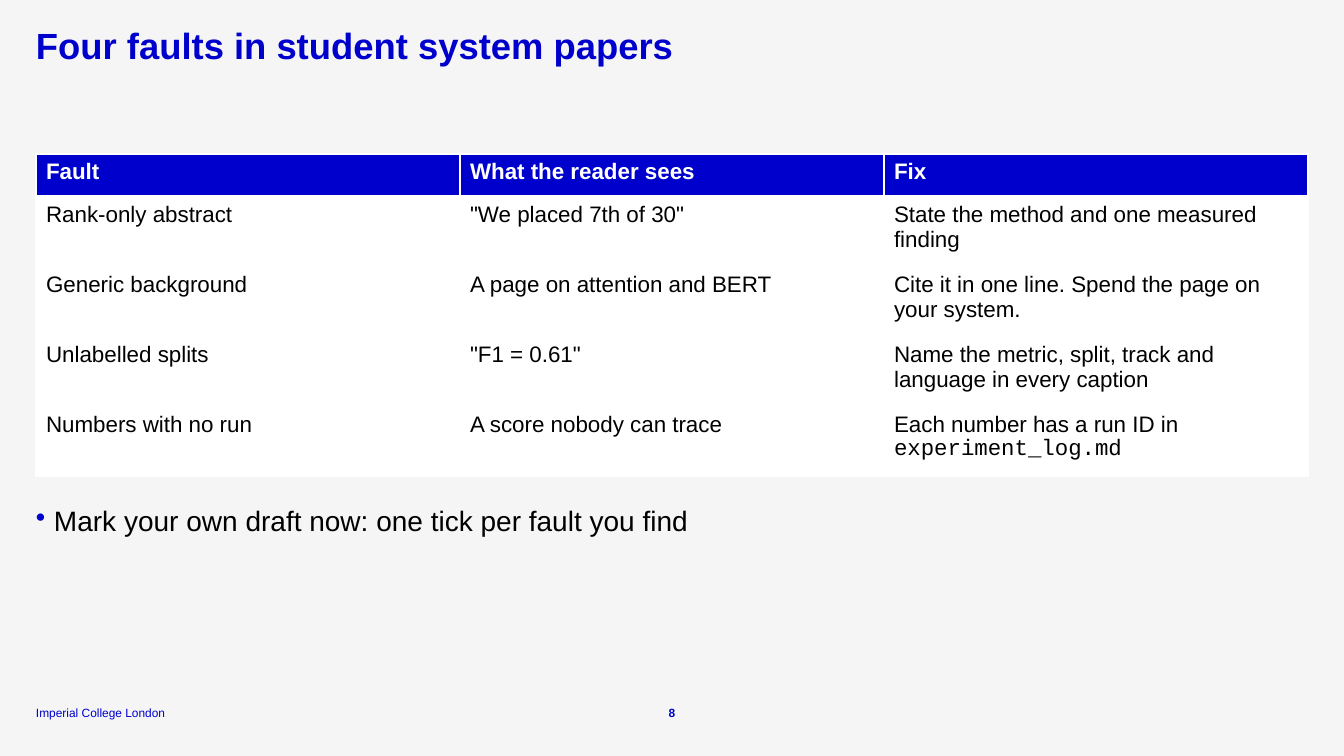
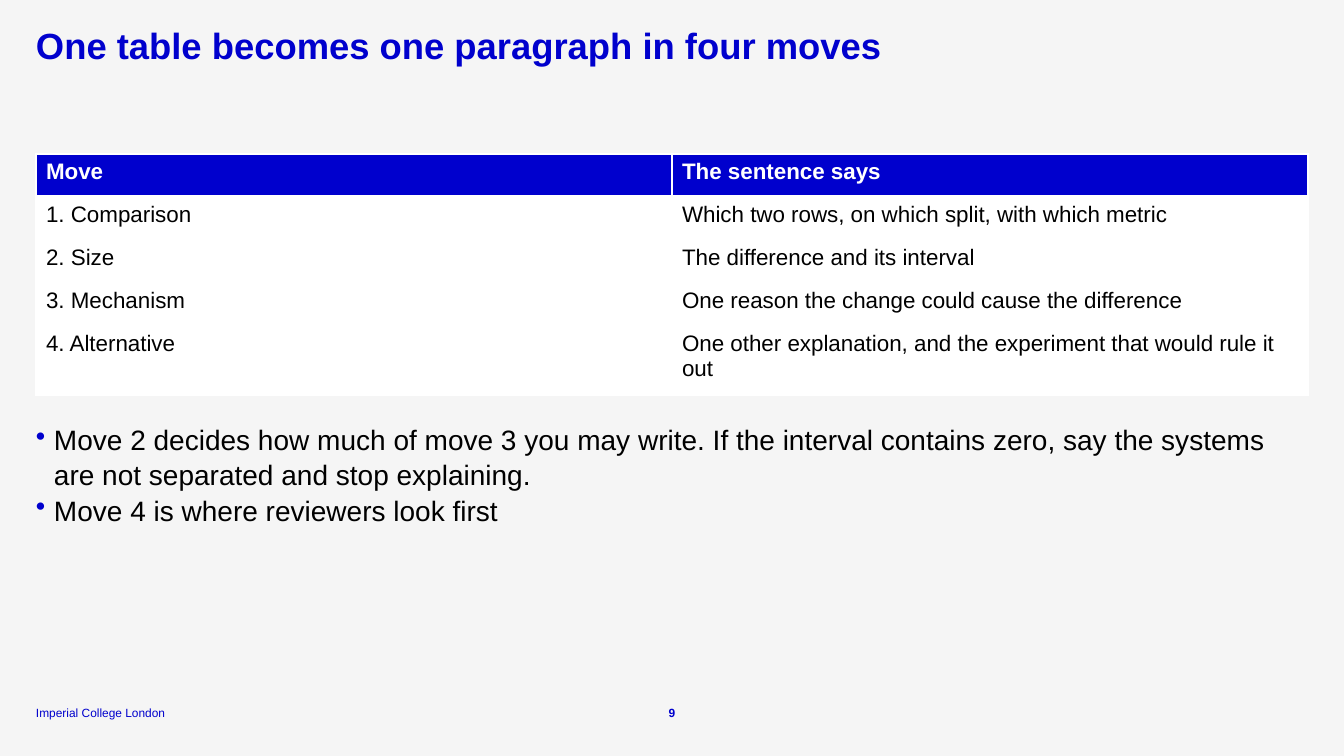
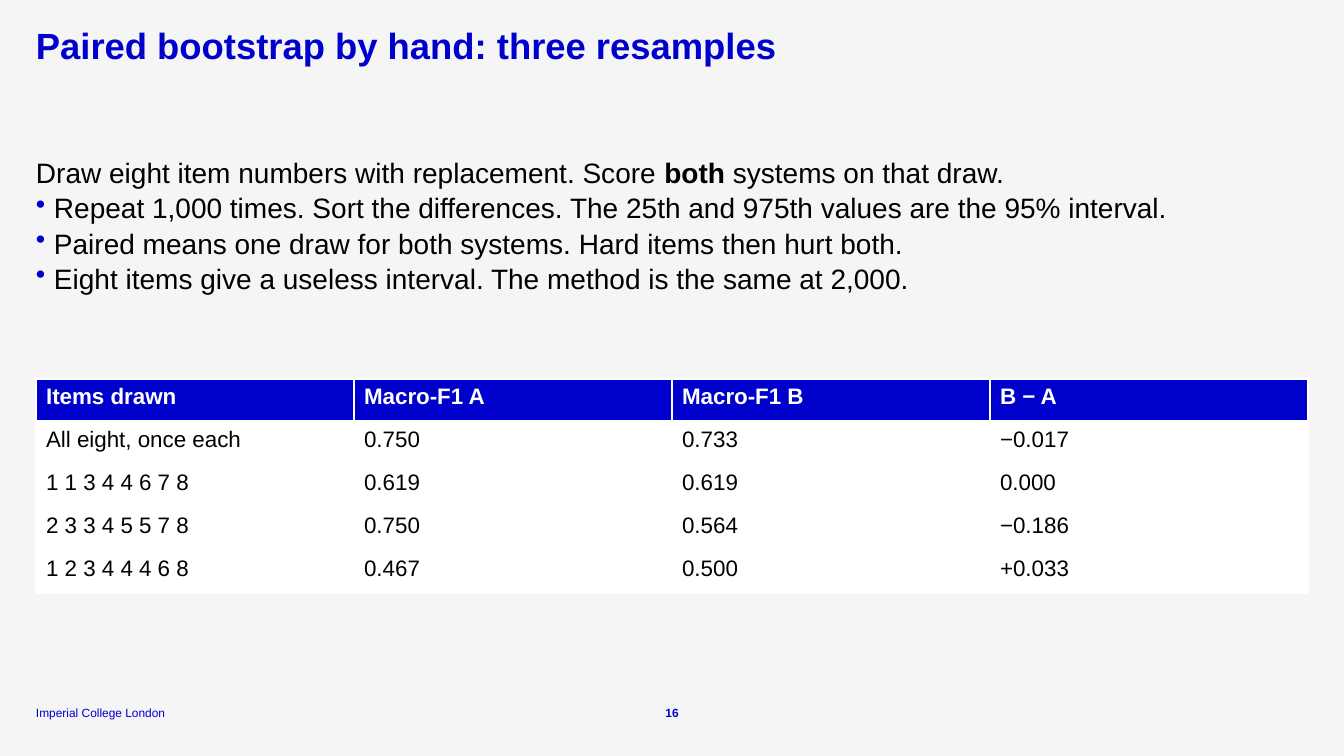
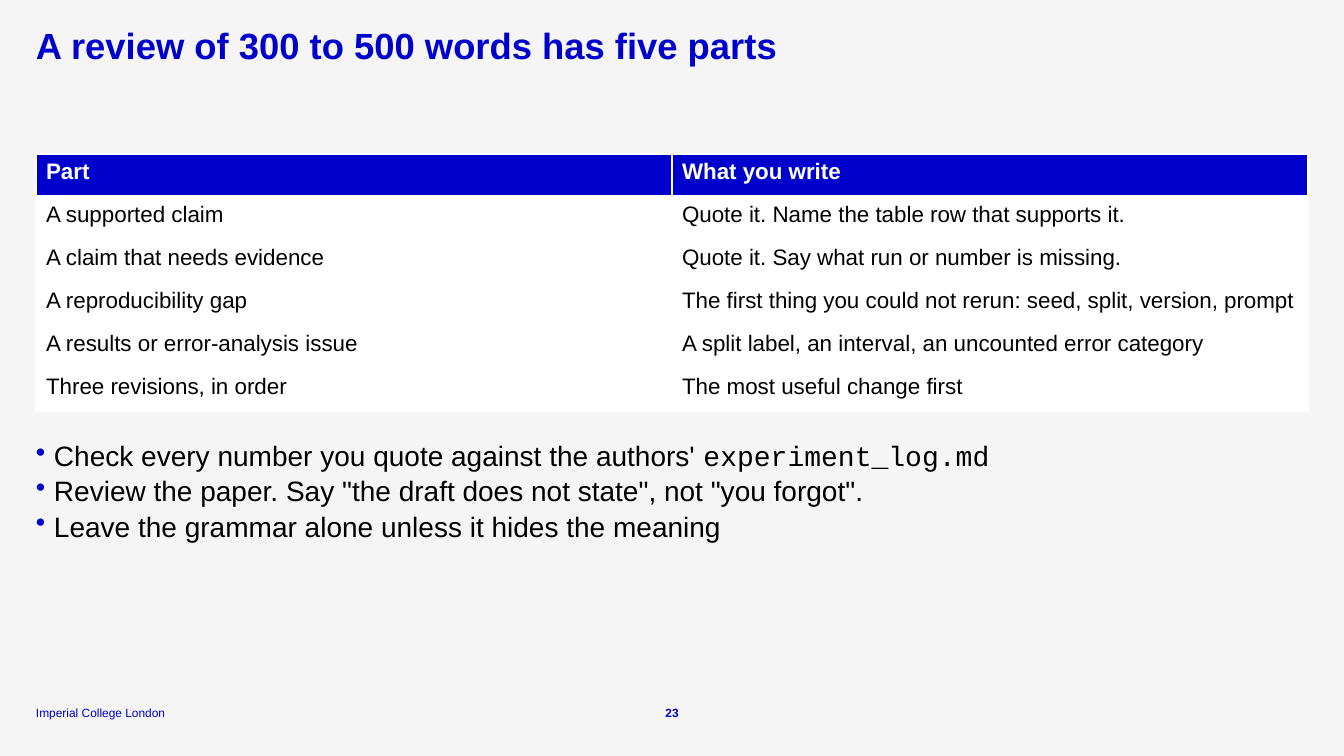
from lxml.etree import SubElement
from pptx import Presentation
from pptx.dml.color import RGBColor
from pptx.enum.text import MSO_ANCHOR as Anchor, MSO_AUTO_SIZE as AutoSize, PP_ALIGN as Align
from pptx.oxml.ns import qn
from pptx.util import Emu, Pt

WIDTH, HEIGHT = 1344, 756
SCALE = 12192000 / WIDTH
MARGIN, CONTENT_WIDTH = 36, 1272
CONTENT_TOP, GAP = 154, 25
FOOTER_TOP, FOOTER_HEIGHT = 705, 15
ROW, TALL_ROW = 43, 70
INDENT = 18

COLORS = {"paper": "F5F5F5", "blue": "0000CD", "ink": "000000", "white": "FFFFFF"}
FORMATS = {
    "title": {"size": Pt(26), "bold": True, "color": "blue"},
    "body": {"size": Pt(20), "bold": False, "color": "ink"},
    "header": {"size": Pt(16), "bold": True, "color": "white"},
    "cell": {"size": Pt(16), "bold": False, "color": "ink"},
    "footer": {"size": Pt(8.5), "bold": False, "color": "blue"},
    "number": {"size": Pt(8.5), "bold": True, "color": "blue"},
}
LOG_FILE = ("experiment_log.md", {"name": "Courier New"})


def px(length):
    return Emu(round(length * SCALE))


def rgb(color):
    return RGBColor.from_string(COLORS[color])


class Deck:
    def __init__(self):
        self.prs = Presentation()
        self.prs.slide_width, self.prs.slide_height = px(WIDTH), px(HEIGHT)
        background = self.prs.slide_master.background.fill
        background.solid()
        background.fore_color.rgb = rgb("paper")
        self.slide = None

    def add_runs(self, paragraph, content, style):
        parts = [content] if isinstance(content, str) else content
        for part in parts:
            text, changes = (part, {}) if isinstance(part, str) else part
            run = paragraph.add_run()
            run.text = text
            values = {"name": "Arial", **FORMATS[style], **changes}
            run.font.color.rgb = rgb(values.pop("color"))
            for key, value in values.items():
                setattr(run.font, key, value)

    def frame(self, shape, anchor):
        values = {
            "margin_left": 0, "margin_top": 0, "margin_right": 0, "margin_bottom": 0,
            "word_wrap": True, "auto_size": AutoSize.NONE, "vertical_anchor": anchor,
        }
        for key, value in values.items():
            setattr(shape.text_frame, key, value)
        return shape.text_frame

    def box(self, left, top, width, height, anchor=Anchor.TOP):
        area = self.slide.shapes.add_textbox(px(left), px(top), px(width), px(height))
        return self.frame(area, anchor)

    def start(self, heading, number):
        self.slide = self.prs.slides.add_slide(self.prs.slide_layouts[5])
        title = self.slide.shapes.title
        title.left, title.top = px(MARGIN), px(28)
        title.width, title.height = px(CONTENT_WIDTH), px(41)
        paragraph = self.frame(title, Anchor.TOP).paragraphs[0]
        paragraph.alignment, paragraph.line_spacing = Align.LEFT, 0.9
        self.add_runs(paragraph, heading, "title")
        self.footer("Imperial College London", "footer", MARGIN, 156, Align.LEFT)
        self.footer(str(number), "number", (WIDTH - 36) // 2, 36, Align.CENTER)

    def footer(self, text, style, left, width, alignment):
        paragraph = self.box(left, FOOTER_TOP, width, FOOTER_HEIGHT, Anchor.BOTTOM).paragraphs[0]
        paragraph.alignment = alignment
        self.add_runs(paragraph, text, style)

    def bullet(self, paragraph):
        properties = paragraph._p.get_or_add_pPr()
        properties.set("marL", str(px(INDENT)))
        properties.set("indent", str(px(-INDENT)))
        color = SubElement(properties, qn("a:buClr"))
        SubElement(color, qn("a:srgbClr"), val=COLORS["blue"])
        SubElement(properties, qn("a:buChar"), char="•")

    def body(self, top, height, points, lead=None):
        frame = self.box(MARGIN, top, CONTENT_WIDTH, height)
        contents = ([lead] if lead else []) + points
        for index, content in enumerate(contents):
            paragraph = frame.add_paragraph() if index else frame.paragraphs[0]
            if content is not lead:
                self.bullet(paragraph)
            paragraph.line_spacing = 1.05
            self.add_runs(paragraph, content, "body")
        return top + height + GAP

    def borders(self, cell):
        properties = cell._tc.get_or_add_tcPr()
        for side, points in (("L", 1), ("R", 1), ("T", 1), ("B", 3)):
            line = SubElement(properties, qn(f"a:ln{side}"), w=str(Pt(points)))
            fill = SubElement(line, qn("a:solidFill"))
            SubElement(fill, qn("a:srgbClr"), val=COLORS["white"])

    def table(self, top, rows, tall=()):
        heights = [TALL_ROW if index in tall else ROW for index in range(len(rows))]
        columns = len(rows[0])
        grid = self.slide.shapes.add_table(
            len(rows), columns, px(MARGIN), px(top), px(CONTENT_WIDTH), px(sum(heights))
        ).table
        grid.horz_banding = False
        for column in grid.columns:
            column.width = px(CONTENT_WIDTH // columns)
        for index, contents in enumerate(rows):
            grid.rows[index].height = px(heights[index])
            for cell, content in zip(grid.rows[index].cells, contents):
                if index == 0:
                    self.borders(cell)
                cell.fill.solid()
                cell.fill.fore_color.rgb = rgb("white" if index else "blue")
                self.add_runs(cell.text_frame.paragraphs[0], content, "cell" if index else "header")
        return top + sum(heights) + GAP


def main():
    deck = Deck()

    deck.start("Four faults in student system papers", 8)
    below = deck.table(CONTENT_TOP, [
        ("Fault", "What the reader sees", "Fix"),
        ("Rank-only abstract", '"We placed 7th of 30"', "State the method and one measured finding"),
        ("Generic background", "A page on attention and BERT",
         "Cite it in one line. Spend the page on your system."),
        ("Unlabelled splits", '"F1 = 0.61"',
         "Name the metric, split, track and language in every caption"),
        ("Numbers with no run", "A score nobody can trace", ["Each number has a run ID in ", LOG_FILE]),
    ], tall=(1, 2, 3, 4))
    deck.body(below, 49, ["Mark your own draft now: one tick per fault you find"])

    deck.start("One table becomes one paragraph in four moves", 9)
    below = deck.table(CONTENT_TOP, [
        ("Move", "The sentence says"),
        ("1. Comparison", "Which two rows, on which split, with which metric"),
        ("2. Size", "The difference and its interval"),
        ("3. Mechanism", "One reason the change could cause the difference"),
        ("4. Alternative", "One other explanation, and the experiment that would rule it out"),
    ], tall=(4,))
    deck.body(below, 136, [
        "Move 2 decides how much of move 3 you may write. If the interval contains zero, "
        "say the systems are not separated and stop explaining.",
        "Move 4 is where reviewers look first",
    ])

    deck.start("Paired bootstrap by hand: three resamples", 16)
    below = deck.body(CONTENT_TOP, 200, [
        "Repeat 1,000 times. Sort the differences. The 25th and 975th values are the 95% interval.",
        "Paired means one draw for both systems. Hard items then hurt both.",
        "Eight items give a useless interval. The method is the same at 2,000.",
    ], lead=["Draw eight item numbers with replacement. Score ", ("both", {"bold": True}),
             " systems on that draw."])
    deck.table(below, [
        ("Items drawn", "Macro-F1 A", "Macro-F1 B", "B − A"),
        ("All eight, once each", "0.750", "0.733", "−0.017"),
        ("1 1 3 4 4 6 7 8", "0.619", "0.619", "0.000"),
        ("2 3 3 4 5 5 7 8", "0.750", "0.564", "−0.186"),
        ("1 2 3 4 4 4 6 8", "0.467", "0.500", "+0.033"),
    ])

    deck.start("A review of 300 to 500 words has five parts", 23)
    below = deck.table(CONTENT_TOP, [
        ("Part", "What you write"),
        ("A supported claim", "Quote it. Name the table row that supports it."),
        ("A claim that needs evidence", "Quote it. Say what run or number is missing."),
        ("A reproducibility gap", "The first thing you could not rerun: seed, split, version, prompt"),
        ("A results or error-analysis issue", "A split label, an interval, an uncounted error category"),
        ("Three revisions, in order", "The most useful change first"),
    ])
    deck.body(below, 150, [
        ["Check every number you quote against the authors' ", LOG_FILE],
        'Review the paper. Say "the draft does not state", not "you forgot".',
        "Leave the grammar alone unless it hides the meaning",
    ])

    deck.prs.save("out.pptx")


if __name__ == "__main__":
    main()
